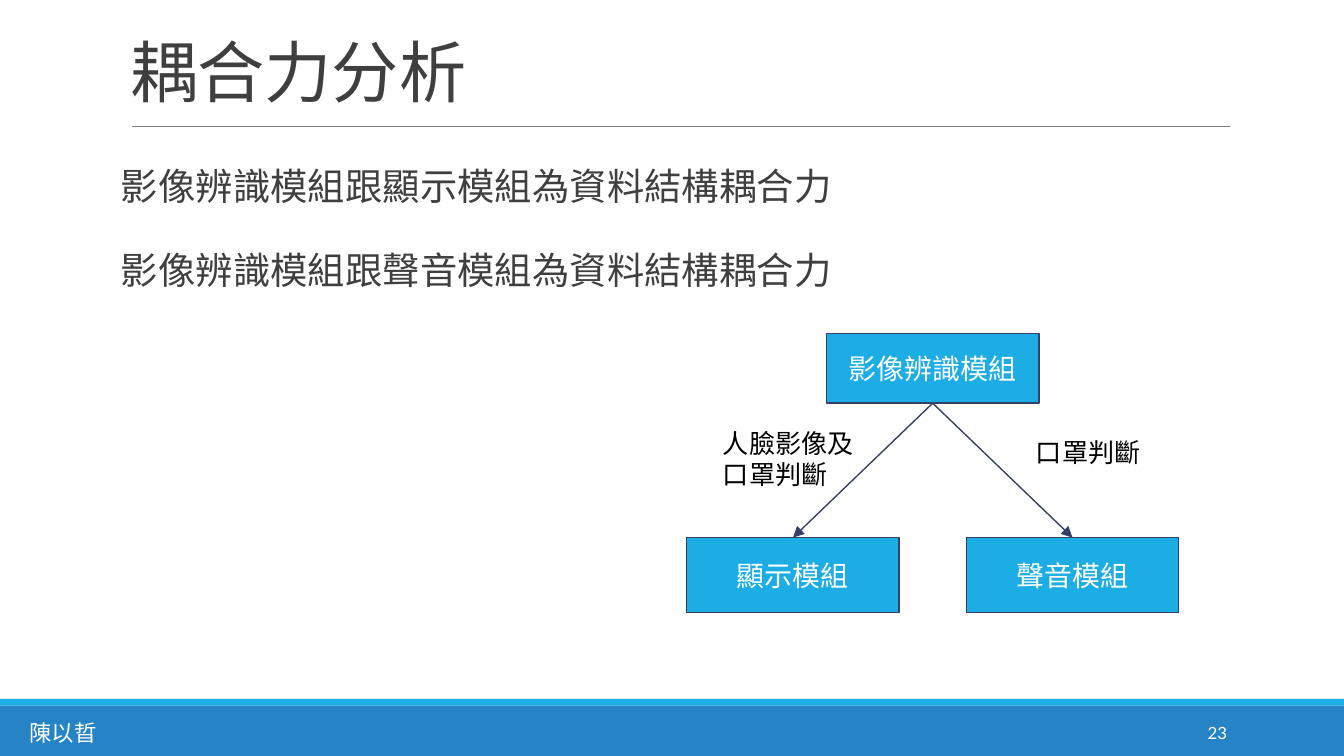
from lxml import etree
from pptx import Presentation
from pptx import util as u
from pptx.dml.color import RGBColor
from pptx.enum import shapes, text
from pptx.oxml.ns import qn

SKY, BLUE, NAVY = "1CADE4", "2683C6", "344068"
DARK, GRAY, WHITE, BLACK = "3F3F3F", "7F7F7F", "FFFFFF", "000000"
LEFT, MID, RIGHT = text.PP_ALIGN.LEFT, text.PP_ALIGN.CENTER, text.PP_ALIGN.RIGHT
TOP, CORE, LOW = (text.MSO_ANCHOR.TOP, text.MSO_ANCHOR.MIDDLE,
                  text.MSO_ANCHOR.BOTTOM)
WIDE = 10
HIGH = WIDE * 9 / 16


def color(code):
    return RGBColor.from_string(code)


def write(shape, *lines, size=14, ink=BLACK, align=LEFT, anchor=TOP,
          pad=(0.1, 0.1), lead=None, before=0):
    frame = shape.text_frame
    frame.word_wrap = True
    frame.vertical_anchor = anchor
    frame.margin_left = frame.margin_right = u.Inches(pad[0])
    frame.margin_top = frame.margin_bottom = u.Inches(pad[1])
    for i, line in enumerate(lines):
        para = frame.add_paragraph() if i else frame.paragraphs[0]
        para.alignment = align
        para.space_before = u.Pt(before)
        if lead:
            para.line_spacing = lead
        run = para.add_run()
        run.text = line
        run.font.name = "Lato"
        run.font.size = u.Pt(size)
        run.font.color.rgb = color(ink)


class Deck:
    """Holds the style and the current slide."""

    def __init__(self, wide, high):
        self.show = Presentation()
        self.show.slide_width = u.Inches(wide)
        self.show.slide_height = u.Inches(high)
        self.slide = self.show.slides.add_slide(self.show.slide_layouts[6])
        self.items = self.slide.shapes

    def rect(self, *box, fill, edge=None):
        shape = self.items.add_shape(shapes.MSO_SHAPE.RECTANGLE,
                                     *map(u.Inches, box))
        shape.shadow.inherit = False
        shape.fill.solid()
        shape.fill.fore_color.rgb = color(fill)
        if edge:
            shape.line.color.rgb = color(edge)
            shape.line.width = u.Pt(0.75)
        else:
            shape.line.fill.background()
        return shape

    def label(self, box, *lines, **form):
        shape = self.items.add_textbox(*map(u.Inches, box))
        write(shape, *lines, **form)

    def node(self, x, y, high, name):
        shape = self.rect(x, y, 1.58, high, fill=SKY, edge=NAVY)
        write(shape, name, size=15, ink=WHITE, align=MID, anchor=CORE)
        return shape

    def style(self, line, ink):
        line.line.color.rgb = color(ink)
        line.line.width = u.Pt(0.75)
        etree.SubElement(line._element.spPr, qn("a:effectLst"))

    def rule(self, x, y, end):
        line = self.items.add_connector(shapes.MSO_CONNECTOR.STRAIGHT,
                                        *map(u.Inches, (x, y, end, y)))
        self.style(line, GRAY)

    def arrow(self, start, end):
        line = self.items.add_connector(shapes.MSO_CONNECTOR.STRAIGHT,
                                        0, 0, 0, 0)
        line.begin_connect(start, 2)
        line.end_connect(end, 0)
        self.style(line, NAVY)
        etree.SubElement(line._element.spPr.find(qn("a:ln")),
                         qn("a:tailEnd"), type="triangle")


deck = Deck(WIDE, HIGH)
deck.rect(0, 5.25, WIDE, HIGH - 5.25, fill=BLUE)
deck.rect(0, 5.2, WIDE, 0.05, fill=SKY)
deck.rule(0.98, 0.94, 9.15)

slim = (0.07, 0.04)
deck.label((0.9, 0.13, 8.25, 0.74), "耦合力分析", size=36, ink=DARK,
           anchor=LOW, pad=slim, lead=0.85)
deck.label((0.9, 1.01, 8.25, 3.8),
           *(f"影像辨識模組跟{part}模組為資料結構耦合力" for part in ("顯示", "聲音")),
           size=20, ink=DARK, pad=(0, 0.04), lead=1.5, before=9)

root = deck.node(6.15, 2.48, 0.52, "影像辨識模組")
for x, name in ((5.11, "顯示模組"), (7.19, "聲音模組")):
    deck.arrow(root, deck.node(x, 4, 0.56, name))
deck.label((5.28, 3.08, 1.29, 0.67), "人臉影像及口罩判斷")
deck.label((7.61, 3.15, 1.29, 0.44), "口罩判斷")

for x, note, size, align in ((8.12, "23", 9, RIGHT), (0.15, "陳以晢", 12, LEFT)):
    deck.label((x, 5.3, 1.08, 0.3), note, size=size, ink=WHITE,
               align=align, anchor=CORE, pad=slim)

deck.show.save("out.pptx")
